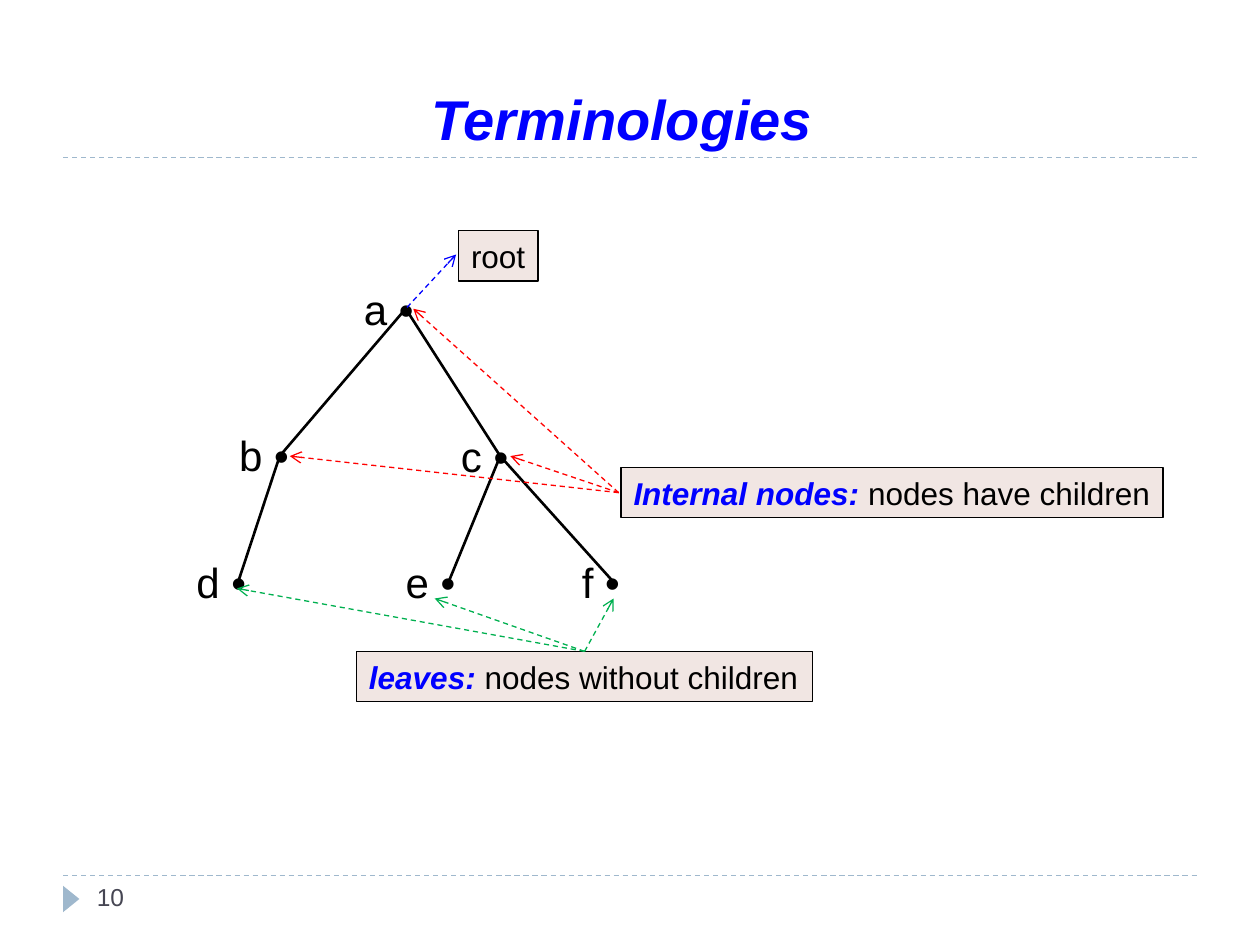
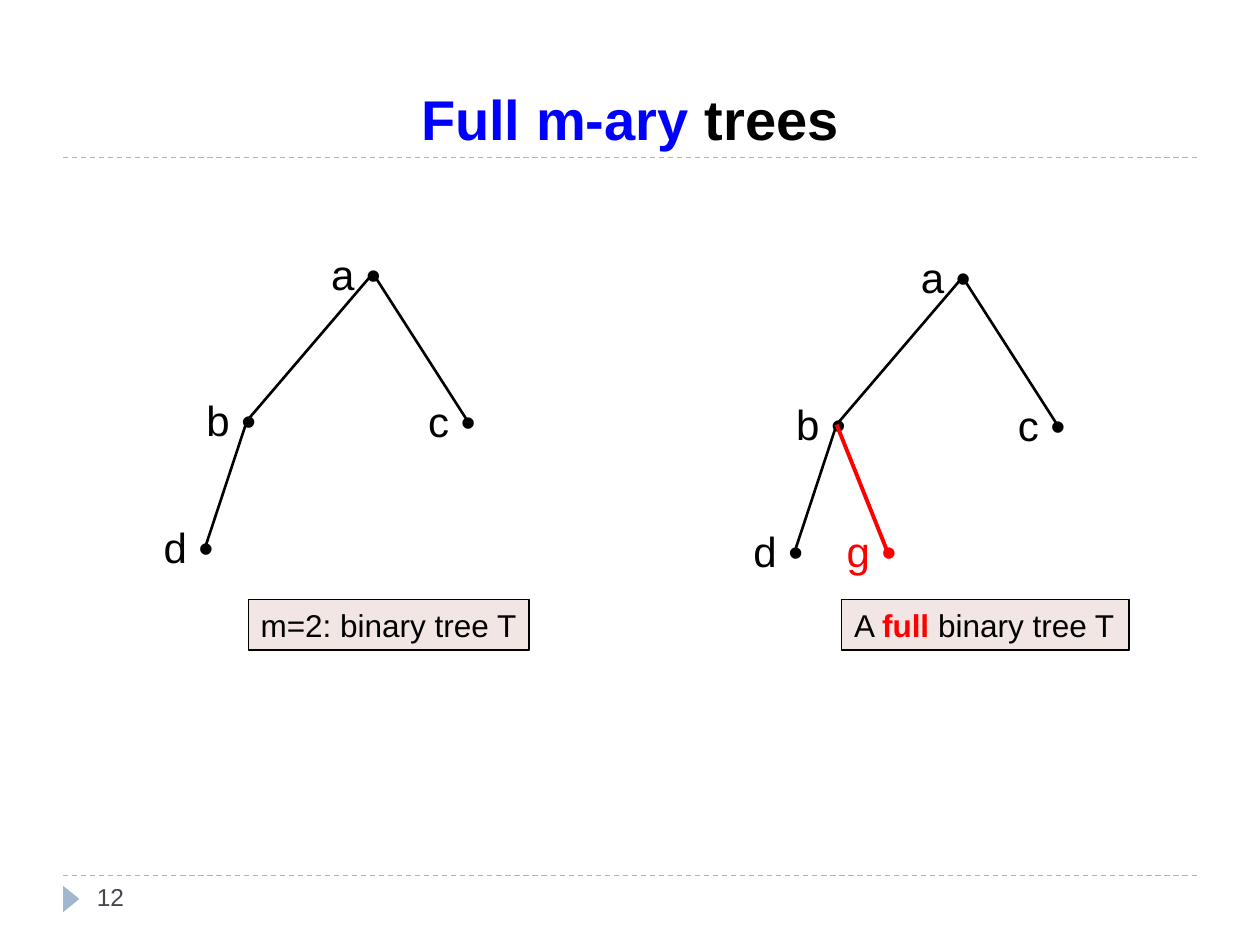
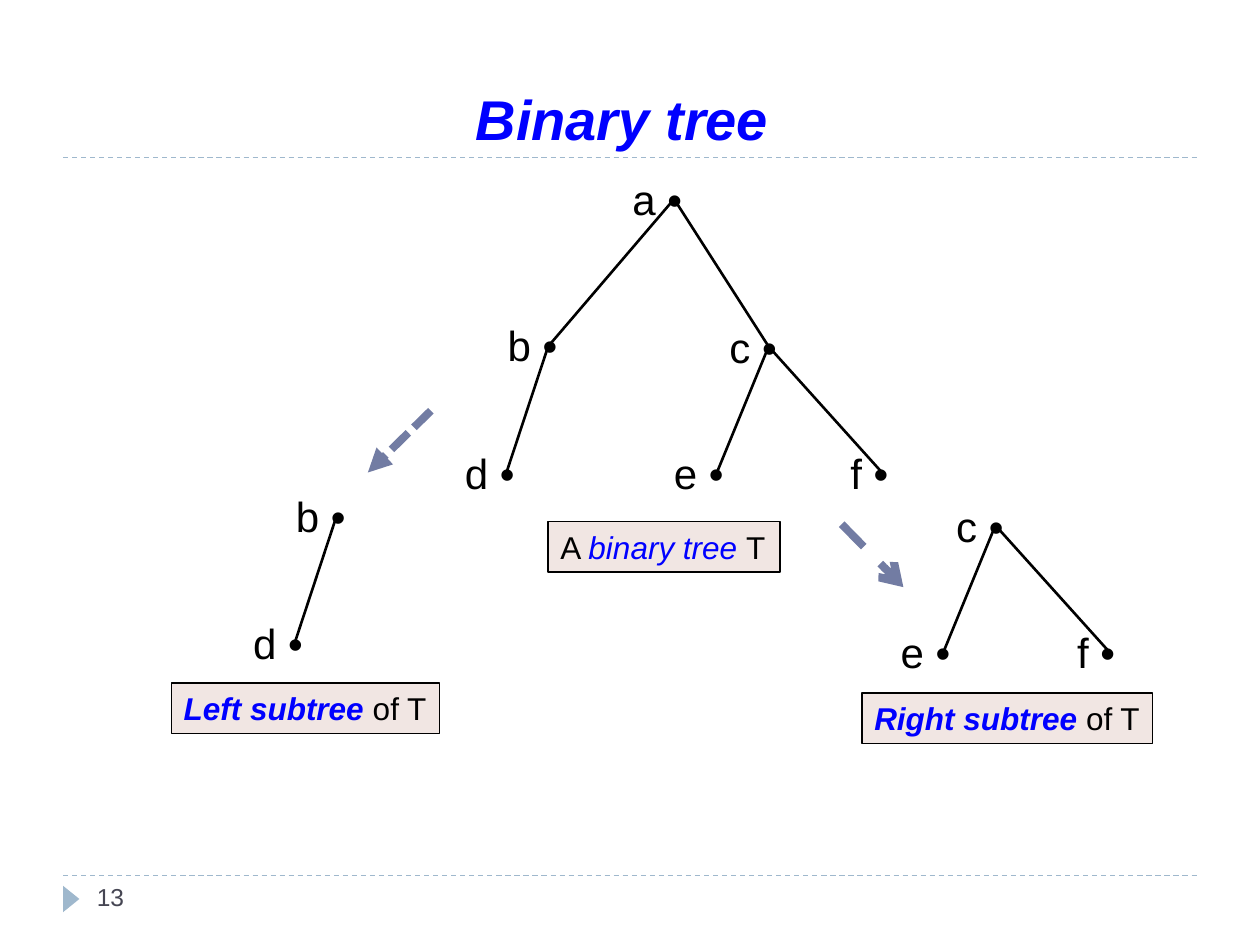
from dataclasses import dataclass
from typing import NamedTuple

from lxml.etree import SubElement
from pptx import Presentation
from pptx.dml.color import RGBColor
from pptx.enum.dml import MSO_LINE_DASH_STYLE as Dash
from pptx.enum.shapes import MSO_CONNECTOR_TYPE as Link, MSO_SHAPE as Preset
from pptx.enum.text import MSO_ANCHOR as Anchor, MSO_AUTO_SIZE as Fit, PP_ALIGN as Align
from pptx.oxml.ns import qn
from pptx.slide import Slide
from pptx.text.text import TextFrame
from pptx.util import Emu, Inches, Pt

WIDTH, HEIGHT = Inches(10), Inches(7.5)
COLUMN, ROW = WIDTH / 100, HEIGHT / 75

FONT = "Arial"
BLACK, BLUE, RED, GREEN = "000000", "0000FF", "FF0000", "00B050"
RULE, CALLOUT, PAGE, SPLIT = "9FB8CD", "F1E6E3", "464653", "727CA3"


class Point(NamedTuple):
    col: float
    row: float

    def shift(self, by: "Point") -> "Point":
        return Point(self.col + by.col, self.row + by.row)


class Area(NamedTuple):
    col: float
    row: float
    cols: float
    rows: float

    def place(self) -> tuple[Emu, Emu, Emu, Emu]:
        return (Emu(round(self.col * COLUMN)), Emu(round(self.row * ROW)),
                Emu(round(self.cols * COLUMN)), Emu(round(self.rows * ROW)))


class Words(NamedTuple):
    text: str
    color: str = BLACK
    bold: bool = False
    italic: bool = False


class Stroke(NamedTuple):
    color: str
    points: float
    dash: Dash | None = None
    head: str | None = None


class Node(NamedTuple):
    dot: Point
    label: Point
    cols: float = 6.1
    color: str = BLACK


class Edge(NamedTuple):
    parent: str
    child: str
    stroke: Stroke = Stroke(BLACK, 1.5)


class Tree(NamedTuple):
    root: Point
    letters: str


class Callout(NamedTuple):
    col: float
    row: float
    cols: float
    words: list[Words]


class Pointers(NamedTuple):
    start: Point
    ends: list[Point]
    stroke: Stroke


@dataclass
class Page:
    number: int
    title: list[Words]
    trees: list[Tree]
    callouts: list[Callout]
    pointers: list[Pointers]


NODES = {
    "a": Node(Point(0, 0), Point(-4.3, -2.5)),
    "b": Node(Point(-10, 11.7), Point(-14.2, 9.1)),
    "c": Node(Point(7.5, 11.7), Point(3.4, 9.2), cols=5.9),
    "d": Node(Point(-13.3, 21.7), Point(-17.6, 19.2)),
    "e": Node(Point(3.4, 21.7), Point(-1, 19.2)),
    "f": Node(Point(16.5, 21.7), Point(13, 19.2), cols=5.2),
    "g": Node(Point(-6, 21.7), Point(-10.2, 19.2), color=RED),
}
EDGES = [Edge("a", "b"), Edge("a", "c"), Edge("c", "e"), Edge("c", "f"),
         Edge("b", "d"), Edge("b", "g", Stroke(RED, 2.25))]


def pointer_stroke(color: str) -> Stroke:
    return Stroke(color, 0.75, Dash.DASH, "arrow")


def term(text: str) -> Words:
    return Words(text, BLUE, bold=True, italic=True)


PAGES = [
    Page(
        10, [term("Terminologies ")],
        [Tree(Point(32.2, 24.5), "abcdef")],
        [Callout(36.4, 18.3, 6.3, [Words("root")]),
         Callout(28.3, 51.7, 36.2, [term("leaves: "), Words("nodes without children")]),
         Callout(49.3, 37.1, 43, [term("Internal nodes: "), Words("nodes have children")])],
        [Pointers(Point(32.3, 24.4), [Point(36.2, 20.2)], pointer_stroke(BLUE)),
         Pointers(Point(49.1, 39.1),
                  [Point(40.5, 36.2), Point(23, 36.2), Point(32.8, 24.5)], pointer_stroke(RED)),
         Pointers(Point(46.4, 51.7),
                  [Point(18.8, 46.7), Point(34.5, 47.5), Point(48.7, 47.5)], pointer_stroke(GREEN))],
    ),
    Page(
        12, [Words("Full m-ary ", BLUE, bold=True), Words("trees", bold=True)],
        [Tree(Point(29.6, 21.7), "abcd"), Tree(Point(76.4, 22), "abcdg")],
        [Callout(19.7, 47.6, 22.3, [Words("m=2: binary tree T")]),
         Callout(66.8, 47.6, 22.8,
                 [Words("A "), Words("full", RED, bold=True), Words(" binary tree T")])],
        [],
    ),
    Page(
        13, [term("Binary tree ")],
        [Tree(Point(53.5, 15.8), "abcdef"), Tree(Point(36.7, 29.3), "bd"),
         Tree(Point(71.5, 30), "cef")],
        [Callout(68.4, 55, 23.1, [term("Right subtree "), Words("of T")]),
         Callout(43.5, 41.4, 18.4,
                 [Words("A "), Words("binary tree ", BLUE, italic=True), Words("T")]),
         Callout(13.6, 54.2, 21.3, [term("Left subtree "), Words("of T")])],
        [Pointers(Point(34.2, 32.6), [Point(29.2, 37.5)],
                  Stroke(SPLIT, 4.5, Dash.SQUARE_DOT, "triangle")),
         Pointers(Point(66.8, 41.6), [Point(71.7, 46.6)],
                  Stroke(SPLIT, 4.5, Dash.DASH, "arrow"))],
    ),
]


def rgb(color: str) -> RGBColor:
    return RGBColor.from_string(color)


def write(frame: TextFrame, words: list[Words], points: float, align: Align = Align.LEFT) -> None:
    paragraph = frame.paragraphs[0]
    paragraph.alignment = align
    for part in words:
        run = paragraph.add_run()
        run.text = part.text
        font = run.font
        font.name, font.size = FONT, Pt(points)
        font.bold, font.italic = part.bold, part.italic
        font.color.rgb = rgb(part.color)


def hug(frame: TextFrame) -> None:
    frame.word_wrap = False
    frame.auto_size = Fit.SHAPE_TO_FIT_TEXT
    frame.vertical_anchor = Anchor.TOP


def draw_line(slide: Slide, start: Point, end: Point, stroke: Stroke) -> None:
    connector = slide.shapes.add_connector(
        Link.STRAIGHT, *(Emu(round(length)) for length in (
            start.col * COLUMN, start.row * ROW, end.col * COLUMN, end.row * ROW)))
    connector.line.width = Pt(stroke.points)
    connector.line.color.rgb = rgb(stroke.color)
    if stroke.dash is not None:
        connector.line.dash_style = stroke.dash
    properties = connector.element.spPr
    if stroke.head:
        SubElement(properties.find(qn("a:ln")), qn("a:tailEnd"), type=stroke.head)
    SubElement(properties, qn("a:effectLst"))


def draw_frame(slide: Slide, page: Page) -> None:
    for row in (69.5, 12.5):
        draw_line(slide, Point(5, row), Point(95, row), Stroke(RULE, 0.75, Dash.DASH))
    marker = slide.shapes.add_shape(
        Preset.ISOSCELES_TRIANGLE, *Area(4.6, 70.7, 2.1, 1.3).place())
    marker.rotation = 90
    marker.shadow.inherit = False
    marker.fill.solid()
    marker.fill.fore_color.rgb = rgb(RULE)
    marker.line.fill.background()
    title = slide.shapes.add_textbox(*Area(5, 1.7, 90, 10.8).place()).text_frame
    title.word_wrap = True
    title.vertical_anchor = Anchor.BOTTOM
    write(title, page.title, 32, Align.CENTER)
    number = slide.shapes.add_textbox(*Area(6.7, 69.5, 21.7, 4).place()).text_frame
    number.word_wrap = True
    write(number, [Words(str(page.number), PAGE)], 14)


def draw_tree(slide: Slide, tree: Tree) -> None:
    for letter in tree.letters:
        node = NODES[letter]
        area = Area(*tree.root.shift(node.label), node.cols, 5)
        label = slide.shapes.add_textbox(*area.place()).text_frame
        hug(label)
        write(label, [Words(f"{letter} •", node.color)], 24)
    for edge in EDGES:
        if edge.parent in tree.letters and edge.child in tree.letters:
            draw_line(slide, tree.root.shift(NODES[edge.parent].dot),
                      tree.root.shift(NODES[edge.child].dot), edge.stroke)


def draw_callout(slide: Slide, callout: Callout) -> None:
    area = Area(callout.col, callout.row, callout.cols, 4)
    panel = slide.shapes.add_shape(Preset.RECTANGLE, *area.place())
    panel.shadow.inherit = False
    panel.fill.solid()
    panel.fill.fore_color.rgb = rgb(CALLOUT)
    panel.line.color.rgb = rgb(BLACK)
    panel.line.width = Pt(0.75)
    hug(panel.text_frame)
    write(panel.text_frame, callout.words, 18)


def main() -> None:
    deck = Presentation()
    deck.slide_width, deck.slide_height = WIDTH, HEIGHT
    for page in PAGES:
        slide = deck.slides.add_slide(deck.slide_layouts[6])
        draw_frame(slide, page)
        for tree in page.trees:
            draw_tree(slide, tree)
        for callout in page.callouts:
            draw_callout(slide, callout)
        for group in page.pointers:
            for end in group.ends:
                draw_line(slide, group.start, end, group.stroke)
    deck.save("out.pptx")


if __name__ == "__main__":
    main()
